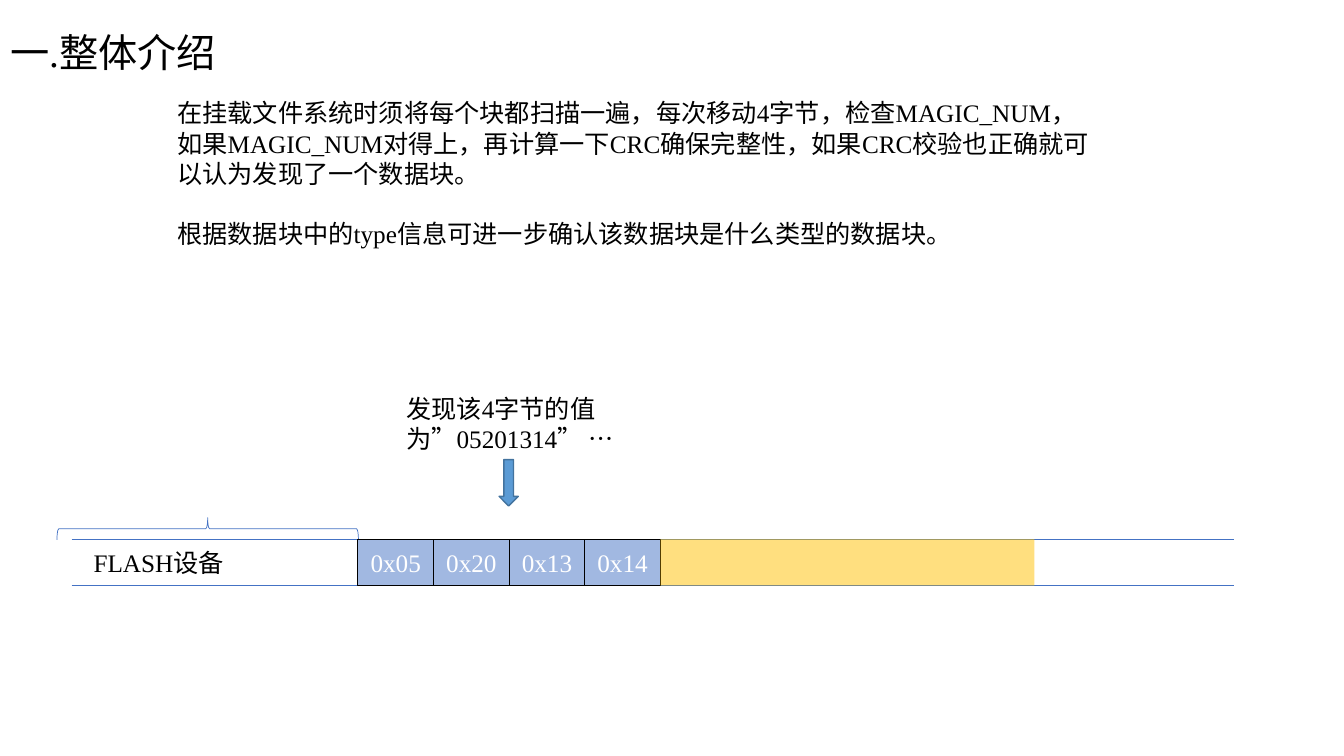
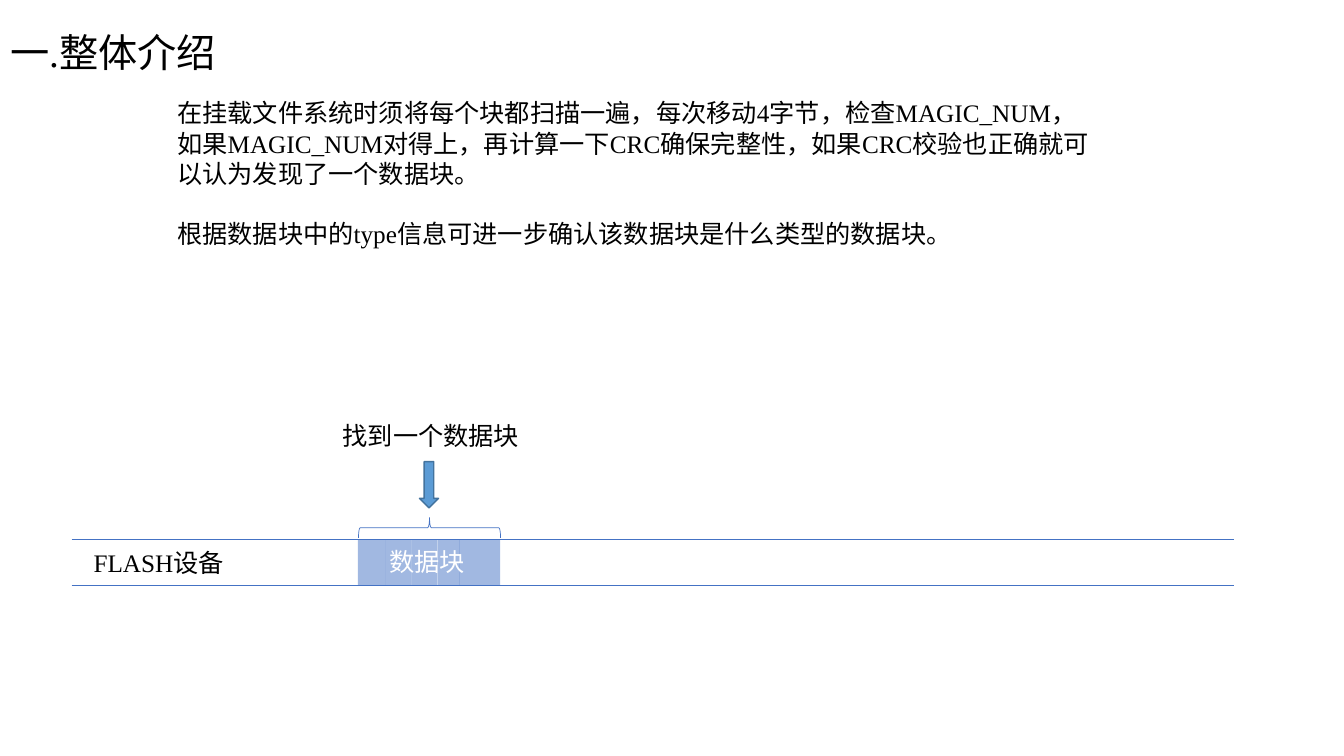
"""Build two slides on scanning a flash device for data blocks."""
from itertools import accumulate

from lxml.etree import SubElement
from pptx import Presentation
from pptx.dml.color import RGBColor
from pptx.enum.lang import MSO_LANGUAGE_ID
from pptx.enum.shapes import MSO_CONNECTOR, MSO_SHAPE
from pptx.enum.text import MSO_ANCHOR, MSO_AUTO_SIZE, PP_ALIGN
from pptx.oxml.ns import qn
from pptx.util import Inches, Pt

BLACK = RGBColor(0x00, 0x00, 0x00)
WHITE = RGBColor(0xFF, 0xFF, 0xFF)
BLUE = RGBColor(0x44, 0x72, 0xC4)
GOLD = RGBColor(0xFF, 0xC0, 0x00)
ARROW_FILL = RGBColor(0x5B, 0x9B, 0xD5)
ARROW_LINE = RGBColor(0x43, 0x73, 0x9E)

FONT = "Times New Roman"
TITLE = "一.整体介绍"
INTRODUCTION = [
    "在挂载文件系统时须将每个块都扫描一遍，每次移动4字节，检查MAGIC_NUM，"
    "如果MAGIC_NUM对得上，再计算一下CRC确保完整性，如果CRC校验也正确就可以认为发现了一个数据块。",
    "根据数据块中的type信息可进一步确认该数据块是什么类型的数据块。",
]
BAND_TOP, BAND_HEIGHT = 5.35, 0.46
BAND_LEFT, BAND_RIGHT = 0.71, 12.24
BLOCK_LEFT = 3.55
BYTE_WIDTH = 0.75


def write_text(shape, *lines, size=18, color=BLACK, align=PP_ALIGN.LEFT,
               anchor=MSO_ANCHOR.TOP, fit=MSO_AUTO_SIZE.SHAPE_TO_FIT_TEXT,
               line_spacing=1.0, gap=0):
    frame = shape.text_frame
    frame.word_wrap = True
    frame.auto_size = fit
    frame.vertical_anchor = anchor
    frame.text = "\n".join(lines)
    for index, paragraph in enumerate(frame.paragraphs):
        paragraph.alignment = align
        paragraph.line_spacing = line_spacing
        paragraph.space_before = Pt(gap if index else 0)
        for run in paragraph.runs:
            run.font.name = FONT
            run.font.size = Pt(size)
            run.font.color.rgb = color
            run.font.language_id = MSO_LANGUAGE_ID.SIMPLIFIED_CHINESE


def add_figure(slide, kind, left, top, width, height, fill=None, opacity=100,
               line=None, line_width=0.5):
    shape = slide.shapes.add_shape(
        kind, Inches(left), Inches(top), Inches(width), Inches(height))
    shape.shadow.inherit = False
    if fill is None:
        shape.fill.background()
    else:
        shape.fill.solid()
        shape.fill.fore_color.rgb = fill
        if opacity < 100:
            color = shape.element.spPr.find(qn("a:solidFill")).find(qn("a:srgbClr"))
            SubElement(color, qn("a:alpha")).set("val", str(opacity * 1000))
    if line is None:
        shape.line.fill.background()
    else:
        shape.line.color.rgb = line
        shape.line.width = Pt(line_width)
    return shape


presentation = Presentation()
presentation.slide_width = Inches(13.33)
presentation.slide_height = Inches(7.5)

scenes = [
    {"note": ("发现该4字节的值为”05201314” …", 3.93, 3.85, 0.71),
     "arrow": (4.95, 4.56), "brace": (1.95, 3.75, 0.22, 2.99)},
    {"note": ("找到一个数据块", 3.3, 4.12, 0.4),
     "arrow": (4.16, 4.58), "brace": (4.16, 4.53, 0.2, 1.41)},
]

for scene in scenes:
    slide = presentation.slides.add_slide(presentation.slide_layouts[5])
    title = slide.shapes.title
    title.left, title.top = Inches(0), Inches(0)
    title.width, title.height = Inches(3.22), Inches(1.09)
    write_text(title, TITLE, size=28, anchor=MSO_ANCHOR.MIDDLE,
               fit=MSO_AUTO_SIZE.NONE, line_spacing=0.9)

    introduction = slide.shapes.add_textbox(
        Inches(1.66), Inches(0.92), Inches(9.36), Inches(1.62))
    write_text(introduction, *INTRODUCTION, gap=21.5)

    for line_top in (BAND_TOP, BAND_TOP + BAND_HEIGHT):
        edge = slide.shapes.add_connector(
            MSO_CONNECTOR.STRAIGHT, Inches(BAND_LEFT), Inches(line_top),
            Inches(BAND_RIGHT), Inches(line_top))
        edge.line.color.rgb = BLUE
        edge.line.width = Pt(0.5)
        SubElement(edge.element.spPr, qn("a:effectLst"))

    device = slide.shapes.add_textbox(
        Inches(0.83), Inches(5.38), Inches(1.85), Inches(0.4))
    write_text(device, "FLASH设备")

    text, left, top, height = scene["note"]
    note = slide.shapes.add_textbox(
        Inches(left), Inches(top), Inches(2.69), Inches(height))
    write_text(note, text)

    add_figure(slide, MSO_SHAPE.DOWN_ARROW, *scene["arrow"], 0.19, 0.46,
               fill=ARROW_FILL, line=ARROW_LINE, line_width=1)
    brace = add_figure(slide, MSO_SHAPE.RIGHT_BRACE, *scene["brace"], line=BLUE)
    brace.rotation = 270

scan_slide, found_slide = presentation.slides

magic_bytes = ["0x05", "0x20", "0x13", "0x14"]
for index, value in enumerate(magic_bytes):
    byte = add_figure(
        scan_slide, MSO_SHAPE.RECTANGLE, BLOCK_LEFT + index * BYTE_WIDTH, BAND_TOP,
        BYTE_WIDTH, BAND_HEIGHT, fill=BLUE, opacity=50, line=BLACK, line_width=0.75)
    write_text(byte, value, color=WHITE, align=PP_ALIGN.CENTER,
               anchor=MSO_ANCHOR.MIDDLE, fit=MSO_AUTO_SIZE.NONE)
add_figure(scan_slide, MSO_SHAPE.RECTANGLE, BLOCK_LEFT + len(magic_bytes) * BYTE_WIDTH,
           BAND_TOP, 3.71, BAND_HEIGHT, fill=GOLD, opacity=50)

part_widths = [0.27, 0.26, 0.26, 0.22, 0.4]
for left, width in zip(accumulate(part_widths, initial=BLOCK_LEFT), part_widths):
    add_figure(found_slide, MSO_SHAPE.RECTANGLE, left, BAND_TOP, width, BAND_HEIGHT,
               fill=BLUE, opacity=50)
block_label = found_slide.shapes.add_textbox(
    Inches(3.76), Inches(5.37), Inches(1.08), Inches(0.4))
write_text(block_label, "数据块", color=WHITE)

presentation.save("out.pptx")
